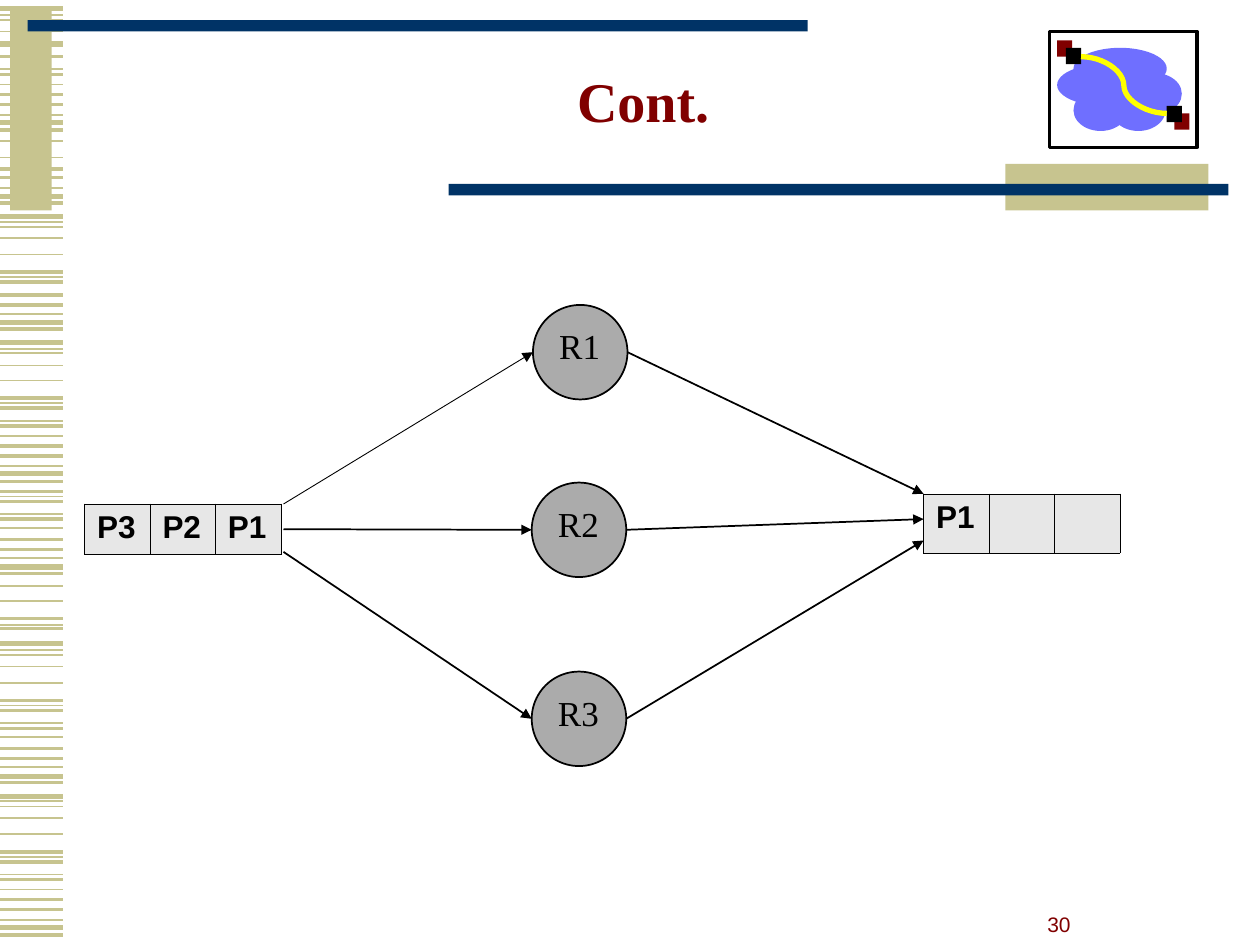
from lxml.etree import SubElement
from pptx import Presentation
from pptx.dml.color import RGBColor
from pptx.enum.shapes import MSO_CONNECTOR as CONN, MSO_SHAPE as SHAPE
from pptx.enum.text import MSO_ANCHOR as ANCHOR, PP_ALIGN as ALIGN
from pptx.oxml import parse_xml
from pptx.oxml.ns import nsdecls, qn
from pptx.util import Inches, Pt

KHAKI = RGBColor(0xC7, 0xC4, 0x8F)
NAVY = RGBColor(0x00, 0x33, 0x66)
MAROON = RGBColor(0x80, 0x00, 0x00)
BLUE = RGBColor(0x6F, 0x6F, 0xFF)
YELLOW = RGBColor(0xFF, 0xFF, 0x00)
BLACK = RGBColor(0, 0, 0)
WHITE = RGBColor(0xFF, 0xFF, 0xFF)
GREY = RGBColor(0xAB, 0xAB, 0xAB)
PALE = RGBColor(0xE7, 0xE7, 0xE7)

# Content
TITLE = "Cont."
PAGE = "30"
QUEUES = [  # left, top, row height, packets
    (0.67, 4, 0.4, ["P3", "P2", "P1"]),
    (7.33, 3.92, 0.47, ["P1", "", ""]),
]
ROUTERS = [("R1", 4.23, 2.42), ("R2", 4.22, 3.83), ("R3", 4.22, 5.33)]
ROUTER_SIZE = 0.75
COL_WIDTH = 0.52
LINKS = [  # leaves the left queue at, enters the right queue at, weight in
    (4, 3.92, 0.5),
    (4.2, 4.12, 1),
    (4.38, 4.29, 1),
]
SEND_X, RECEIVE_X = 2.25, 7.33

# Side stripes: line weight -> heights on the slide
STRIPES = {
    1: [0.12, 0.16, 0.25, 0.55, 0.67, 0.91, 1.12, 1.25, 1.49, 1.76, 1.8, 1.89,
        2.02, 2.2, 2.49, 2.77, 2.8, 2.9, 3.02, 3.2, 3.34, 3.46, 3.7, 3.94,
        4.08, 4.19, 4.43, 4.65, 4.77, 4.96, 5.16, 5.2, 5.29, 5.42, 5.6, 5.74,
        5.85, 6.09, 6.36, 6.4, 6.49, 6.62, 6.8, 6.94, 7.06, 7.3],
    2: [0.45, 0.59, 0.75, 0.83, 1.03, 1.34, 1.41, 1.61, 2.16, 2.24, 2.34,
        2.42, 2.61, 3.16, 3.24, 3.38, 3.54, 3.62, 3.82, 3.9, 3.98, 4.12,
        4.28, 4.36, 4.55, 4.91, 4.99, 5.56, 5.64, 5.78, 5.94, 6.02, 6.21,
        6.76, 6.84, 6.98, 7.14, 7.22, 7.42],
    3: [0.07, 0.35, 0.97, 1.56, 1.72, 2.56, 2.72, 3.76, 4.5, 5.11, 6.16,
        6.32, 7.36],
}
BARS = [
    (0.08, 0.08, 0.33, 1.59, KHAKI),
    (0.22, 0.16, 6.19, 0.09, NAVY),
    (7.98, 1.3, 1.61, 0.37, KHAKI),
    (3.56, 1.46, 6.19, 0.09, NAVY),
]
CLOUD = [
    (8.39, 0.51, 0.74), (8.52, 0.38, 0.74), (8.52, 0.71, 0.43),
    (8.82, 0.71, 0.43), (8.82, 0.58, 0.43), (8.95, 0.58, 0.43),
]
HOSTS = [(9.32, 0.9, MAROON), (8.39, 0.32, MAROON),
         (8.46, 0.38, BLACK), (9.26, 0.84, BLACK)]
CABLE = [
    [(8.58, 0.45), (8.75, 0.45), (8.92, 0.56), (8.92, 0.68)],
    [(8.92, 0.68), (8.92, 0.79), (9.09, 0.9), (9.26, 0.9)],
]


def set_font(font, **values):
    for name, value in values.items():
        if name == "color":
            font.color.rgb = value
        else:
            setattr(font, name, value)


def set_margins(tf, left, top, right, bottom):
    for side, value in dict(left=left, top=top, right=right, bottom=bottom).items():
        setattr(tf, f"margin_{side}", Inches(value))


def add_shape(shapes, kind, box, fill, line=None, weight=1):
    sp = shapes.add_shape(kind, *map(Inches, box))
    sp.shadow.inherit = False
    sp.fill.solid()
    sp.fill.fore_color.rgb = fill
    if line is None:
        sp.line.fill.background()
    else:
        sp.line.color.rgb = line
        sp.line.width = Pt(weight)
    return sp


def add_line(shapes, start, end, color, weight, arrow=False):
    c = shapes.add_connector(CONN.STRAIGHT, *map(Inches, start + end))
    c.line.color.rgb = color
    c.line.width = Pt(weight)
    if arrow:
        SubElement(c.line._get_or_add_ln(), qn("a:tailEnd"), type="triangle")
    SubElement(c._element.spPr, qn("a:effectLst"))


def bezier(p0, p1, p2, p3, steps=12):
    for i in range(1, steps + 1):
        t = i / steps
        u = 1 - t
        yield tuple(Inches(u**3 * a + 3 * u * u * t * b + 3 * u * t * t * c + t**3 * d)
                    for a, b, c, d in zip(p0, p1, p2, p3))


def add_queue(shapes, left, top, height, packets):
    box = (left, top, COL_WIDTH * len(packets), height)
    table = shapes.add_table(1, len(packets), *map(Inches, box)).table
    table.first_row = table.horz_banding = False
    for column, cell, packet in zip(table.columns, table.rows[0].cells, packets):
        column.width = Inches(COL_WIDTH)
        cell.fill.solid()
        cell.fill.fore_color.rgb = PALE
        for i, side in enumerate("LRTB"):
            cell._tc.get_or_add_tcPr().insert(i, parse_xml(
                f'<a:ln{side} {nsdecls("a")} w="{Pt(0.45)}"><a:solidFill>'
                f'<a:srgbClr val="{BLACK}"/></a:solidFill></a:ln{side}>'))
        if packet:
            r = cell.text_frame.paragraphs[0].add_run()
            r.text = packet
            set_font(r.font, name="Arial", size=Pt(18), bold=True, color=BLACK)


prs = Presentation()
prs.slide_width, prs.slide_height = Inches(10), Inches(7.5)
s = prs.slides.add_slide(prs.slide_layouts[5])
shapes = s.shapes

# Side stripes and header bars
stripes = shapes.add_group_shape().shapes
for weight, heights in STRIPES.items():
    for y in heights:
        add_line(stripes, (0, y), (0.5, y), KHAKI, weight)
for *box, color in BARS:
    add_shape(shapes, SHAPE.RECTANGLE, box, color)

# Network cloud illustration
network = shapes.add_group_shape().shapes
add_shape(network, SHAPE.RECTANGLE, (8.33, 0.25, 1.17, 0.92), WHITE, BLACK, 2)
for x, y, width in CLOUD:
    add_shape(network, SHAPE.OVAL, (x, y, width, 0.33), BLUE)
for x, y, color in HOSTS:
    add_shape(network, SHAPE.RECTANGLE, (x, y, 0.12, 0.13), color)
builder = network.build_freeform(*map(Inches, CABLE[0][0]))
for curve in CABLE:
    builder.add_line_segments(list(bezier(*curve)), close=False)
cable = builder.convert_to_shape()
cable.shadow.inherit = False
cable.fill.background()
cable.line.color.rgb = YELLOW
cable.line.width = Pt(3)

# Title
title = shapes.title
title.left, title.top, title.width, title.height = map(Inches, (0.5, 0, 9.25, 1.67))
tf = title.text_frame
tf.text = TITLE
tf.vertical_anchor = ANCHOR.MIDDLE
set_margins(tf, 0.06, 0.06, 0.14, 0.06)
p = tf.paragraphs[0]
p.alignment, p.line_spacing = ALIGN.CENTER, 0.85
p._p.get_or_add_pPr().set("marL", str(Inches(0.04)))
set_font(p.runs[0].font, name="Times New Roman", size=Pt(32), bold=True, color=MAROON)

# Packet queues
for queue in QUEUES:
    add_queue(shapes, *queue)

# Routers and their links
for (name, x, y), (send_y, receive_y, weight) in zip(ROUTERS, LINKS):
    sp = add_shape(shapes, SHAPE.OVAL, (x, y, ROUTER_SIZE, ROUTER_SIZE), GREY, BLACK)
    tf = sp.text_frame
    tf.text = name
    tf.vertical_anchor = ANCHOR.TOP
    set_margins(tf, 0.1, 0.05, 0.1, 0.05)
    p = tf.paragraphs[0]
    p.alignment = ALIGN.LEFT
    set_font(p.runs[0].font, name="Times New Roman", size=Pt(20), color=BLACK)
    middle = y + ROUTER_SIZE / 2
    add_line(shapes, (SEND_X, send_y), (x, middle), BLACK, weight, arrow=True)
    add_line(shapes, (x + ROUTER_SIZE, middle), (RECEIVE_X, receive_y), BLACK, 1, arrow=True)

# Page number, with no side margins so both digits fit the narrow box
tf = shapes.add_textbox(*map(Inches, (8.25, 7.17, 0.31, 0.31))).text_frame
tf.text = PAGE
tf.word_wrap = False
tf.vertical_anchor = ANCHOR.BOTTOM
set_margins(tf, 0, 0.05, 0, 0.05)
p = tf.paragraphs[0]
p.alignment = ALIGN.CENTER
set_font(p.runs[0].font, name="Arial", size=Pt(12), color=MAROON)

prs.save("out.pptx")
